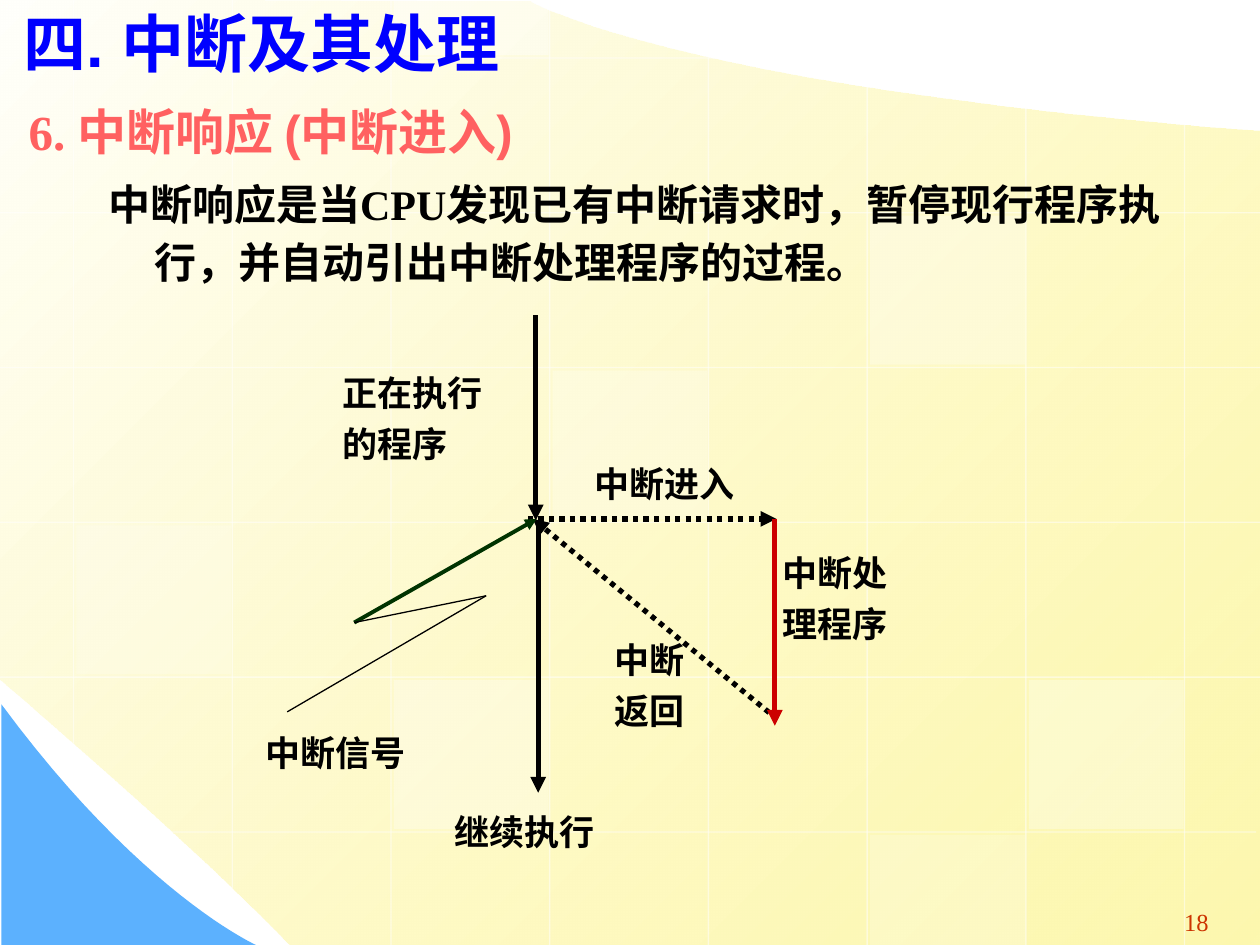
from pptx import Presentation
from pptx.dml.color import RGBColor
from pptx.enum.dml import MSO_LINE
from pptx.enum.shapes import MSO_CONNECTOR, MSO_SHAPE
from pptx.enum.text import MSO_AUTO_SIZE, PP_ALIGN
from pptx.oxml.ns import qn
from pptx.util import Cm, Pt
from lxml import etree

STRAIGHT, RECTANGLE = MSO_CONNECTOR.STRAIGHT, MSO_SHAPE.RECTANGLE
DOTTED, SOLID = MSO_LINE.ROUND_DOT, MSO_LINE.SOLID
GROW = MSO_AUTO_SIZE.SHAPE_TO_FIT_TEXT
LEFT, CENTER = PP_ALIGN.LEFT, PP_ALIGN.CENTER

WHITE = RGBColor(0xFF, 0xFF, 0xFF)
BLACK = RGBColor(0x00, 0x00, 0x00)
BLUE = RGBColor(0x00, 0x00, 0xFF)
SKY = RGBColor(0x5C, 0xB1, 0xFE)
CORAL = RGBColor(0xFF, 0x61, 0x61)
RUST = RGBColor(0xCC, 0x33, 0x00)
RED = RGBColor(0xCC, 0x00, 0x00)
GREEN = RGBColor(0x00, 0x33, 0x00)
CREAM = RGBColor(0xFF, 0xFF, 0xFB)
YELLOW = RGBColor(0xFD, 0xF5, 0x8D)

SERIF, SANS = "Times New Roman", "Arial"
WIDTH, HEIGHT = 25.4, 19.05

# Outlines: a point is a straight step, three points are a curve.
BACKDROP = [
    [(25.4, 2.64)],
    [(25.4, 19.05)],
    [(5.84, 19.05)],
    [(3.66, 16.79), (-0.03, 13.69), (0, 13.69)],
    [(-0.03, -0.03)],
    [(10.69, 0.03)],
    [(10.69, 0.03), (13.64, 1.75), (25.4, 2.64)],
]
CORNER = [
    [(0.03, 14.2)],
    [(0.03, 19.05)],
    [(5.16, 19.05)],
    [(5.16, 19.05), (2.84, 18.01), (0.03, 14.2)],
]

GRID_X, COLUMN = 1.48, 3.2
GRID_Y, ROW = 1.17, 3.12
COLUMN_SPANS = [(0, 15.47), (0, 18.26), (0, 19.05), (0, 19.05),
                (1.09, 19.05), (1.73, 19.05), (2.16, 19.05), (2.49, 19.05)]
ROW_SPANS = [(0, 14.43)] + [(0, 25.4)] * 4 + [(2.82, 25.32)]
TILE_GAP, TILE_WIDTH, TILE_HEIGHT = 0.06, 3.12, 3.0
TILES = [(3, 2, 25), (6, 4, 30), (0, 3, 20), (5, 5, 20),
         (2, -1, 40), (2, 4, 30), (5, 1, 30)]

FLOW = [
    ((10.64, 10.46), (15.65, 10.46), BLACK, 3, DOTTED, True),
    ((15.67, 14.5), (10.74, 10.46), BLACK, 3, DOTTED, True),
    ((10.85, 10.52), (10.85, 15.98), BLACK, 3, SOLID, True),
    ((5.79, 14.35), (9.8, 12.01), BLACK, 0.75, SOLID, False),
    ((7.14, 12.55), (10.82, 10.46), GREEN, 2.25, SOLID, True),
    ((7.14, 12.55), (9.8, 12.01), BLACK, 0.75, SOLID, False),
    ((10.8, 6.35), (10.8, 10.49), BLACK, 3, SOLID, True),
    ((15.62, 10.46), (15.62, 14.63), RED, 3, SOLID, True),
]

LABEL = {"size": Pt(20), "name": SERIF, "bold": True}
LABELS = [
    ((8.92, 16.21, 4.01, 1.12), ["继续执行"]),
    ((11.73, 9.19, 4.01, 1.12), ["中断进入"]),
    ((12.14, 12.75, 3.35, 2.13), ["中断", "返回"]),
    ((5.11, 14.63, 4.01, 1.12), ["中断信号"]),
    ((6.65, 7.37, 4.01, 2.13), ["正在执行", "的程序"]),
    ((15.52, 11, 3.18, 2.13), ["中断处", "理程序"]),
]
HEADING = {"size": Pt(28), "name": SERIF, "bold": True}
BODY = {"size": Pt(24), "name": SERIF, "bold": True}
TITLE = {"size": Pt(36), "name": SANS, "bold": True}
PAGE = {"size": Pt(14), "name": SERIF, "bold": False}


def set_alpha(shape, percent):
    color = list(shape._element.spPr.iter(qn("a:srgbClr")))[-1]
    etree.SubElement(color, qn("a:alpha")).set("val", str(percent * 1000))


def flatten(outline, steps=24):
    points = list(outline[0])
    for segment in outline[1:]:
        if len(segment) == 1:
            points += segment
            continue
        corners = [points[-1], *segment]
        for step in range(1, steps + 1):
            t = step / steps
            weights = ((1 - t) ** 3, 3 * t * (1 - t) ** 2, 3 * t * t * (1 - t), t ** 3)
            points.append(tuple(sum(w * c[axis] for w, c in zip(weights, corners))
                                for axis in (0, 1)))
    return [(Cm(x), Cm(y)) for x, y in points]


def add_outline(shapes, outline):
    start, *rest = flatten(outline)
    builder = shapes.build_freeform(*start)
    builder.add_line_segments(rest, close=True)
    shape = builder.convert_to_shape()
    shape.shadow.inherit = False
    shape.line.fill.background()
    return shape


def add_line(shapes, start, end, color, width, dash=SOLID, arrow=False):
    line = shapes.add_connector(STRAIGHT, *map(Cm, start + end))
    line.line.color.rgb = color
    line.line.width = Pt(width)
    line.line.dash_style = dash
    if arrow:
        etree.SubElement(line.line._get_or_add_ln(), qn("a:tailEnd")).set("type", "triangle")
    etree.SubElement(line._element.spPr, qn("a:effectLst"))
    return line


def add_text(shapes, box, paragraphs):
    frame = shapes.add_textbox(*map(Cm, box)).text_frame
    frame.word_wrap = True
    frame.auto_size = GROW
    for index, (runs, layout, indent) in enumerate(paragraphs):
        paragraph = frame.add_paragraph() if index else frame.paragraphs[0]
        for key, value in layout.items():
            setattr(paragraph, key, value)
        if indent:
            properties = paragraph._p.get_or_add_pPr()
            properties.set("marL", str(Cm(indent[0])))
            properties.set("indent", str(Cm(indent[1])))
        for text, font, color in runs:
            run = paragraph.add_run()
            run.text = text
            for key, value in font.items():
                setattr(run.font, key, value)
            run.font.color.rgb = color


def add_background(shapes):
    backdrop = add_outline(shapes, BACKDROP)
    backdrop.fill.gradient()
    backdrop.fill.gradient_angle = 315
    for stop, color in zip(backdrop.fill.gradient_stops, (CREAM, YELLOW)):
        stop.color.rgb = color
    set_alpha(backdrop, 70)
    corner = add_outline(shapes, CORNER)
    corner.fill.solid()
    corner.fill.fore_color.rgb = SKY

    columns = [((GRID_X + i * COLUMN, top), (GRID_X + i * COLUMN, bottom))
               for i, (top, bottom) in enumerate(COLUMN_SPANS)]
    rows = [((right, GRID_Y + i * ROW), (left, GRID_Y + i * ROW))
            for i, (left, right) in enumerate(ROW_SPANS)]
    for start, end in columns + rows:
        set_alpha(add_line(shapes, start, end, WHITE, 0.75), 50)

    for column, row, opacity in TILES:
        top = GRID_Y + row * ROW + TILE_GAP
        bottom = min(top + TILE_HEIGHT, HEIGHT)
        top = max(top, 0)
        tile = shapes.add_shape(RECTANGLE, Cm(GRID_X + column * COLUMN + TILE_GAP), Cm(top),
                                Cm(TILE_WIDTH), Cm(bottom - top))
        tile.shadow.inherit = False
        tile.line.fill.background()
        tile.fill.solid()
        tile.fill.fore_color.rgb = WHITE
        set_alpha(tile, opacity)


def main():
    deck = Presentation()
    deck.slide_width, deck.slide_height = Cm(WIDTH), Cm(HEIGHT)
    shapes = deck.slides.add_slide(deck.slide_layouts[6]).shapes
    add_background(shapes)
    add_text(shapes, (23.6, 18.08, 1.04, 0.94),
             [([("18", PAGE, RUST)], {"alignment": CENTER, "line_spacing": 1.15}, None)])
    for line in FLOW:
        add_line(shapes, *line)
    for box, lines in LABELS:
        add_text(shapes, box, [([(text, LABEL, BLACK)], {"space_before": Pt(5 if i else 0)}, None)
                               for i, text in enumerate(lines)])
    add_text(shapes, (0.33, 1.75, 23.8, 4.17), [
        ([("6. ", HEADING, CORAL), ("中断响应 (中断进入)", {**HEADING, "name": SANS}, CORAL)],
         {"line_spacing": 1.15}, (1.47, -1.47)),
        ([("中断响应是当CPU发现已有中断请求时，暂停现行程序执行，并自动引出中断处理程序的过程。",
           BODY, BLACK)],
         {"level": 1, "line_spacing": 1.15, "space_before": Pt(6)}, (2.54, -0.94)),
    ])
    add_text(shapes, (0.23, 0.13, 13.64, 1.63),
             [([("四. 中断及其处理", TITLE, BLUE)], {"alignment": LEFT, "line_spacing": 0.9}, None)])
    deck.save("out.pptx")


if __name__ == "__main__":
    main()
